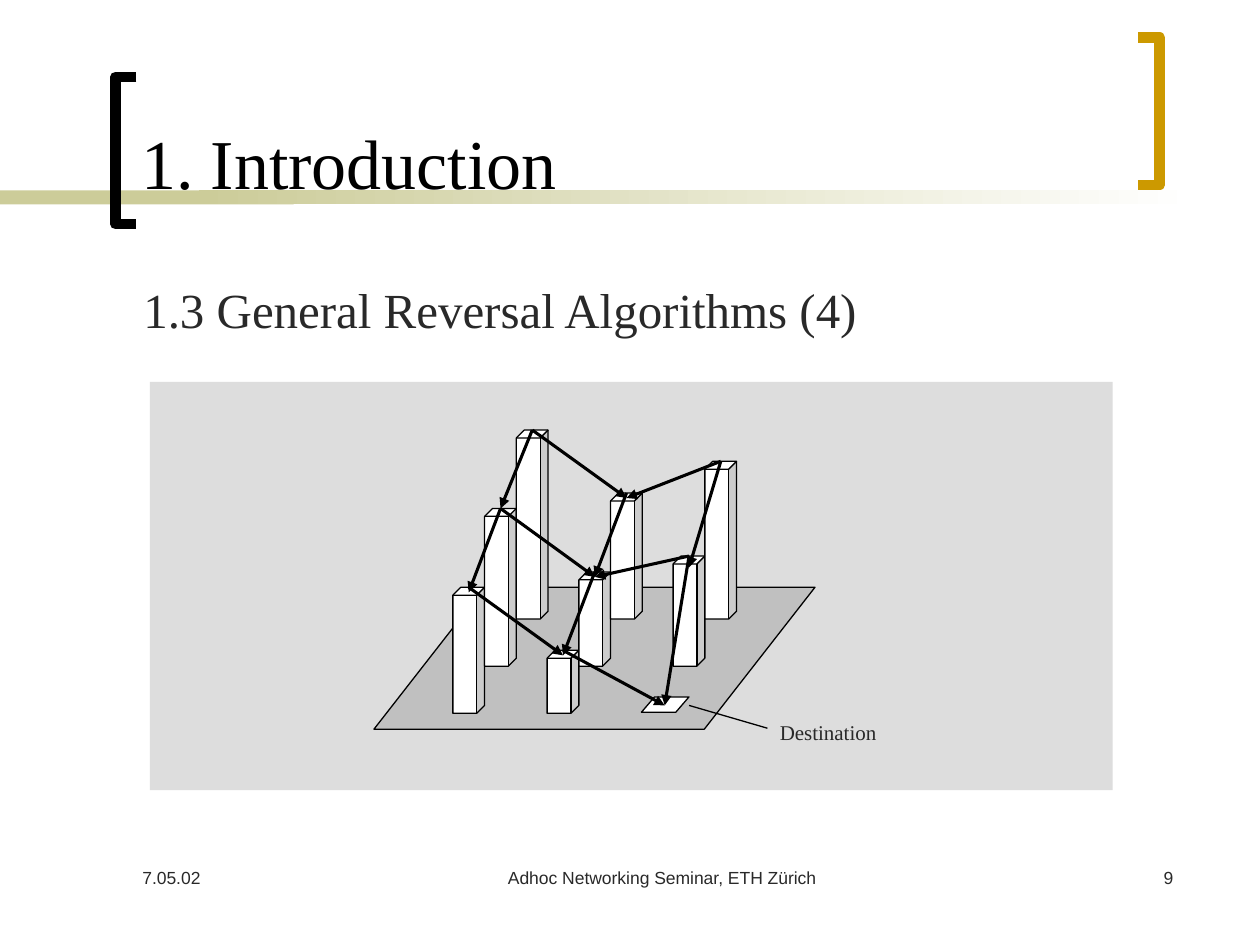
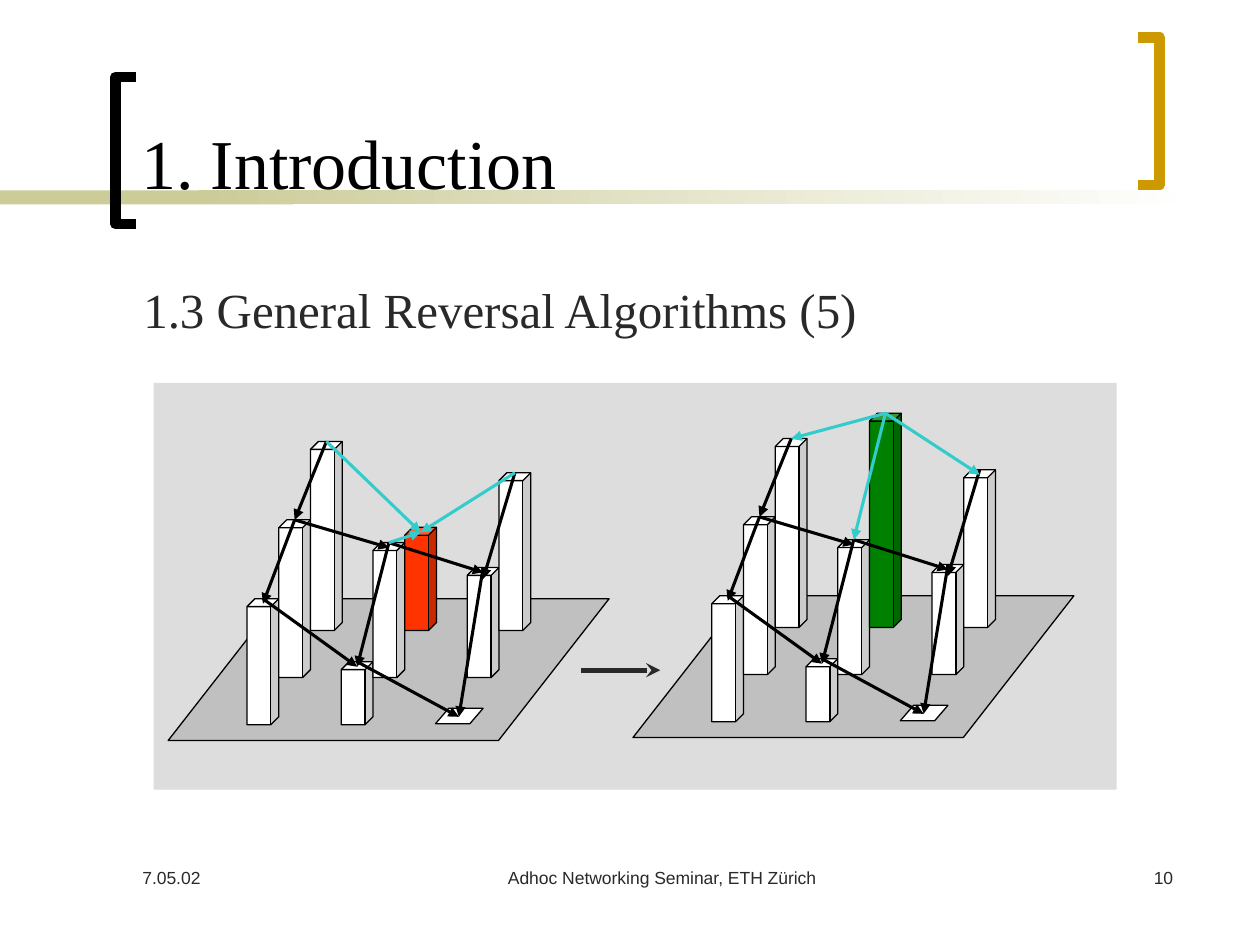
from dataclasses import dataclass
from lxml.etree import SubElement
from pptx import Presentation
from pptx.dml.color import RGBColor
from pptx.enum.shapes import MSO_CONNECTOR, MSO_SHAPE
from pptx.enum.text import MSO_ANCHOR, PP_ALIGN
from pptx.oxml.ns import qn
from pptx.util import Cm, Pt


@dataclass(frozen=True)
class Theme:
    ink: str = "000000"
    text: str = "292929"
    band: str = "CCCC99"
    paper: str = "FFFFFF"
    gold: str = "CC9900"
    panel: str = "DDDDDD"
    floor: str = "C0C0C0"
    sink: str = "FF3300"
    raised: str = "008000"
    reversal: str = "33CCCC"
    serif: str = "Times New Roman"
    sans: str = "Arial"
    title_size: int = 40
    heading_size: int = 28
    label_size: int = 12
    footer_size: int = 10


theme = Theme()


def add_block(slide, preset, at, fill, outlined=True, adjustment=None):
    block = slide.shapes.add_shape(preset, *(Cm(length) for length in at))
    block.shadow.inherit = False
    block.fill.solid()
    block.fill.fore_color.rgb = RGBColor.from_string(fill)
    if outlined:
        block.line.color.rgb = RGBColor.from_string(theme.ink)
        block.line.width = Pt(0.75)
    else:
        block.line.fill.background()
    if adjustment is not None:
        block.adjustments[0] = adjustment
    return block


def add_line(slide, start, end, color, width, head=None):
    line = slide.shapes.add_connector(
        MSO_CONNECTOR.STRAIGHT, *(Cm(length) for length in (*start, *end)))
    line.line.color.rgb = RGBColor.from_string(color)
    line.line.width = Pt(width)
    if head:
        SubElement(line.ln, qn("a:tailEnd"), type=head)
    SubElement(line.element.spPr, qn("a:effectLst"))


common_heights = {
    "front0": 2.54, "front1": 1.27,
    "mid0": 3.18, "mid1": 1.9, "mid2": 2.22,
    "back0": 3.81, "back1": 2.54, "back2": 3.18,
}
common_links = [
    ("mid0", "front0"), ("back0", "mid0"), ("mid0", "mid1"),
    ("mid1", "front1"), ("front0", "front1"), ("back2", "mid2"),
    ("mid2", "goal"), ("front1", "goal"),
]
first_network = {
    "floor": (7.54, 11.84),
    "heights": common_heights,
    "colors": {},
    "links": common_links + [
        ("back0", "back1"), ("back2", "back1"), ("back1", "mid1"), ("mid2", "mid1")],
    "reversals": [],
}
before_reversal = {
    "floor": (3.39, 12.07),
    "heights": {**common_heights, "mid1": 2.72, "back1": 2.08},
    "colors": {"back1": theme.sink},
    "links": common_links + [("mid1", "mid2")],
    "reversals": [("back0", "back1"), ("back2", "back1"), ("mid1", "back1")],
}
after_reversal = {
    **before_reversal,
    "floor": (12.76, 12.01),
    "heights": {**before_reversal["heights"], "back1": 4.32},
    "colors": {"back1": theme.raised},
    "reversals": [("back1", "back0"), ("back1", "back2"), ("back1", "mid1")],
}
pages = [
    {"number": "9", "heading": "1.3 General Reversal Algorithms (4)",
     "panel": (3.02, 7.7, 19.41, 8.23), "networks": [first_network]},
    {"number": "10", "heading": "1.3 General Reversal Algorithms (5)",
     "panel": (3.1, 7.72, 19.41, 8.2), "networks": [before_reversal, after_reversal]},
]
rows = ["front", "mid", "back"]
bar_width = 0.64
column_step = 1.9
row_rise = 0.95
tip_drop = 0.1
special_drops = {("back0", "mid0"): 0, ("back2", "mid2"): 0.23,
                 ("back1", "back0"): 0, ("back1", "mid1"): 0}

prs = Presentation()
prs.slide_width = Cm(25.4)
prs.slide_height = Cm(19.05)
layout = prs.slide_layouts[5]
for placeholder in list(layout.placeholders):
    if placeholder.placeholder_format.idx >= 10:
        layout.shapes.element.remove(placeholder.element)
slides = [prs.slides.add_slide(layout) for page in pages]

band = add_block(slides[0], MSO_SHAPE.RECTANGLE, (0, 3.84, 5.92, 0.28), theme.band, False)
fade = add_block(slides[0], MSO_SHAPE.RECTANGLE, (4.01, 3.84, 20.12, 0.28), theme.band, False)
fade.fill.gradient()
fade.fill.gradient_angle = 0
for stop, color, position in zip(fade.fill.gradient_stops, (theme.band, theme.paper), (0, 1)):
    stop.color.rgb = RGBColor.from_string(color)
    stop.position = position
decoration = [band, fade]
for tip_x, spine_x, top, color in [(2.75, 2.33, 1.55, theme.ink), (22.95, 23.38, 0.76, theme.gold)]:
    bottom = top + 2.97
    outline = slides[0].shapes.build_freeform(Cm(tip_x), Cm(top))
    outline.add_line_segments(
        [(Cm(spine_x), Cm(top)), (Cm(spine_x), Cm(bottom)), (Cm(tip_x), Cm(bottom))], close=False)
    bracket = outline.convert_to_shape()
    bracket.shadow.inherit = False
    bracket.fill.background()
    bracket.line.color.rgb = RGBColor.from_string(color)
    bracket.line.width = Pt(6)
    decoration.append(bracket)
for part in decoration:
    layout.shapes.element.append(part.element)

for slide, page in zip(slides, pages):
    title = slide.shapes.title
    title.left, title.top, title.width, title.height = Cm(2.59), Cm(0.28), Cm(19.89), Cm(3.94)
    title.text_frame.text = "1. Introduction"
    title.text_frame.vertical_anchor = MSO_ANCHOR.BOTTOM
    title_line = title.text_frame.paragraphs[0]
    title_line.alignment = PP_ALIGN.LEFT
    title_line.font.name = theme.serif
    title_line.font.size = Pt(theme.title_size)
    title_line.font.color.rgb = RGBColor.from_string(theme.ink)

    add_block(slide, MSO_SHAPE.RECTANGLE, page["panel"], theme.panel, False)

    captions = [
        ("7.05.02", (2.62, 17.35, 5.28, 1.27), theme.sans, theme.footer_size, PP_ALIGN.LEFT),
        ("Adhoc Networking Seminar, ETH Zürich", (9.32, 17.35, 8.05, 1.27),
         theme.sans, theme.footer_size, PP_ALIGN.CENTER),
        (page["number"], (18.62, 17.35, 5.28, 1.27), theme.sans, theme.footer_size, PP_ALIGN.RIGHT),
        (page["heading"], (2.64, 5.51, 21.29, 1.6), theme.serif, theme.heading_size, PP_ALIGN.LEFT),
    ]
    if slide is slides[0]:
        captions.append(("Destination", (15.47, 14.38, 2.84, 0.97),
                         theme.serif, theme.label_size, PP_ALIGN.LEFT))
    for wording, at, font, size, alignment in captions:
        caption = slide.shapes.add_textbox(*(Cm(length) for length in at))
        caption.text_frame.word_wrap = True
        caption.text_frame.text = wording
        paragraph = caption.text_frame.paragraphs[0]
        paragraph.alignment = alignment
        paragraph.font.name = font
        paragraph.font.size = Pt(size)
        paragraph.font.color.rgb = RGBColor.from_string(theme.text)

    for network in page["networks"]:
        floor_x, floor_y = network["floor"]
        add_block(slide, MSO_SHAPE.PARALLELOGRAM, (floor_x, floor_y, 8.89, 2.86), theme.floor,
                  adjustment=0.78)
        tops = {"goal": (floor_x + 5.86, floor_y + 2.28)}
        for node, height in network["heights"].items():
            row, column = rows.index(node[:-1]), int(node[-1])
            left = floor_x + 1.59 + column * column_step + row * bar_width
            top = floor_y + 2.54 - row * row_rise - height
            add_block(slide, MSO_SHAPE.CUBE, (left, top, bar_width, height),
                      network["colors"].get(node, theme.paper), adjustment=0.25)
            tops[node] = (left + bar_width / 2, top)
        add_block(slide, MSO_SHAPE.PARALLELOGRAM, (floor_x + 5.39, floor_y + 2.21, 0.96, 0.31),
                  theme.paper, adjustment=0.86)
        for links, color in [(network["links"], theme.ink), (network["reversals"], theme.reversal)]:
            for source, target in links:
                tip_x, tip_y = tops[target]
                tip_y += special_drops.get((source, target), tip_drop)
                if network is first_network and (source, target) == ("back1", "mid1"):
                    tip_y += tip_drop
                add_line(slide, tops[source], (tip_x, tip_y), color, 1.75, "triangle")

add_line(slides[0], (13.89, 14.22), (15.47, 14.68), theme.ink, 0.75)
add_line(slides[1], (11.71, 13.51), (13.31, 13.51), theme.text, 2.75, "stealth")

prs.save("out.pptx")
